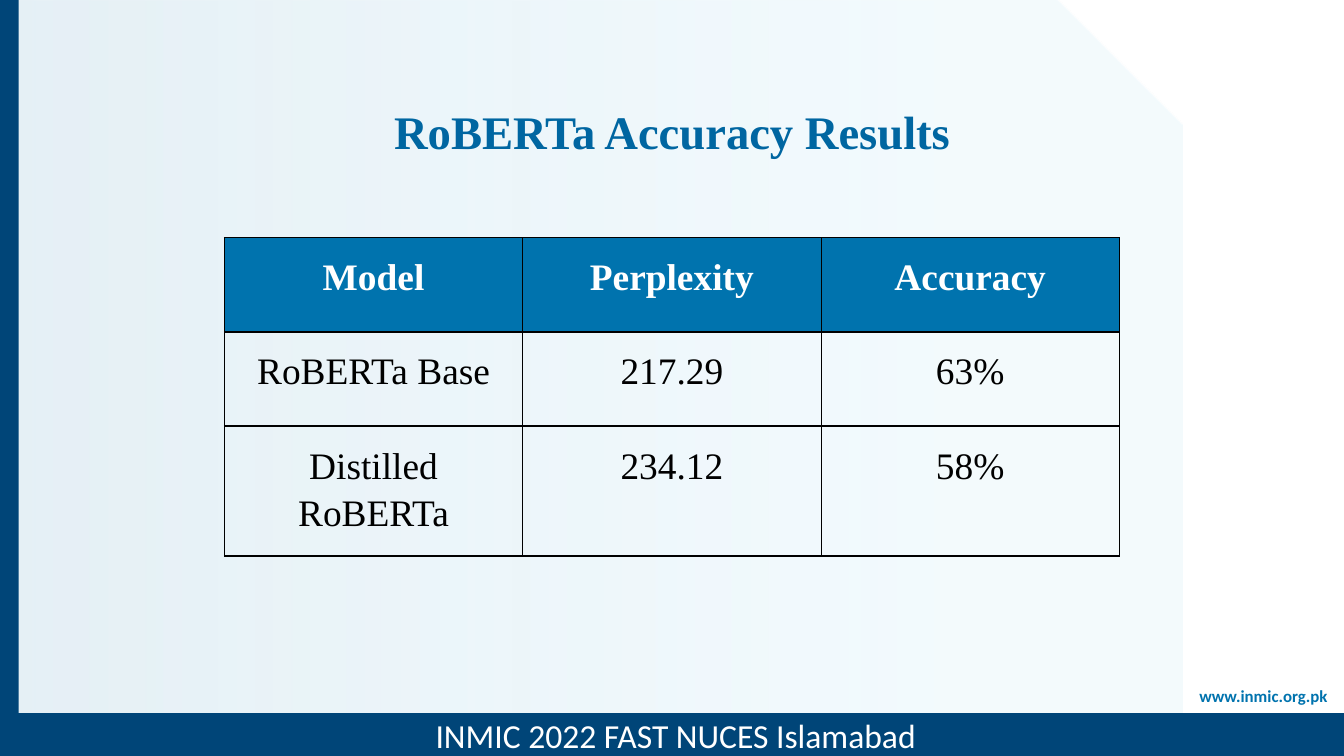
from lxml import etree
from pptx import Presentation
from pptx.dml.color import RGBColor
from pptx.enum import shapes, text
from pptx.oxml import ns
from pptx.util import Inches, Pt

NAVY = RGBColor(0x00, 0x45, 0x78)
BLUE = RGBColor(0x00, 0x73, 0xAE)
TITLE = RGBColor(0x00, 0x66, 0xA1)
MIST = RGBColor(0xCB, 0xE0, 0xEB)
SKY = RGBColor(0xD8, 0xF0, 0xFA)
WHITE = RGBColor(0xFF, 0xFF, 0xFF)
BLACK = RGBColor(0x00, 0x00, 0x00)
SERIF, SANS = "Times New Roman", "Calibri"
WIDE = 10
HIGH = WIDE * 9 / 16


def write(frame, words, size, font, color, bold=False, gap=1.0):
    """Put one centred run in the frame; gap is the line spacing."""
    frame.word_wrap = True
    para = frame.paragraphs[0]
    para.alignment = text.PP_ALIGN.CENTER
    para.line_spacing = gap
    run = para.add_run()
    run.text = words
    run.font.size = Pt(size)
    run.font.name = font
    run.font.bold = bold
    run.font.color.rgb = color


def add(kind, left, top, width, height):
    shape = slide.shapes.add_shape(
        kind, Inches(left), Inches(top), Inches(width), Inches(height))
    shape.shadow.inherit = False
    shape.line.fill.background()
    return shape


deck = Presentation()
deck.slide_width, deck.slide_height = Inches(WIDE), Inches(HIGH)
slide = deck.slides.add_slide(deck.slide_layouts[6])

# Backdrop with a translucent gradient
panel = add(shapes.MSO_SHAPE.SNIP_1_RECTANGLE, 0, 0, 8.8, HIGH)
panel.adjustments[0] = 0.167
panel.fill.gradient()
panel.fill.gradient_angle = 0
stops = panel.fill.gradient_stops
for stop, spot, color in zip(stops, (0, 0.79), (MIST, SKY)):
    stop.position = spot
    stop.color.rgb = color
tints = panel._element.spPr.iter(ns.qn("a:srgbClr"))
for tint, alpha in zip(tints, (50, 30)):
    etree.SubElement(tint, ns.qn("a:alpha"), val=str(alpha * 1000))

# Web address, side bar and footer
site = slide.shapes.add_textbox(Inches(8.75), Inches(5.07), Inches(1.3), Inches(0.37))
write(site.text_frame, "www.inmic.org.pk", 9, SANS, BLUE, True, 0.9)

side = add(shapes.MSO_SHAPE.RECTANGLE, 0, 0, 0.14, HIGH)
foot = add(shapes.MSO_SHAPE.RECTANGLE, 0, 5.31, 10.06, 0.32)
for bar in (side, foot):
    bar.fill.solid()
    bar.fill.fore_color.rgb = NAVY
foot.line.color.rgb = NAVY
foot.line.width = Pt(1)
foot.text_frame.vertical_anchor = text.MSO_ANCHOR.MIDDLE
write(foot.text_frame, "INMIC 2022 FAST NUCES Islamabad", 18, SANS, WHITE)

# Title
title = slide.shapes.add_textbox(Inches(1.37), Inches(0.76), Inches(7.26), Inches(0.48))
title.text_frame.vertical_anchor = text.MSO_ANCHOR.BOTTOM
write(title.text_frame, "RoBERTa Accuracy Results", 25, SERIF, TITLE, True, 0.9)

# Results table
rows = [
    ("Model", "Perplexity", "Accuracy"),
    ("RoBERTa Base", "217.29", "63%"),
    ("Distilled RoBERTa", "234.12", "58%"),
]
grid = slide.shapes.add_table(
    3, 3, Inches(1.67), Inches(1.77), Inches(6.66), Inches(2.1))
table = grid.table
table.first_row = table.horz_banding = False
for col in table.columns:
    col.width = Inches(2.22)
for r, row in enumerate(rows):
    table.rows[r].height = Inches(0.7)
    head = r == 0
    for c, words in enumerate(row):
        cell = table.cell(r, c)
        cell.margin_left = cell.margin_right = Inches(0.1)
        cell.margin_top = cell.margin_bottom = Inches(0.1)
        props = cell._tc.get_or_add_tcPr()
        for edge in ("lnL", "lnR", "lnT", "lnB"):
            line = etree.SubElement(props, ns.qn("a:" + edge), w=str(Pt(0.75)))
            ink = etree.SubElement(line, ns.qn("a:solidFill"))
            etree.SubElement(ink, ns.qn("a:srgbClr"), val=str(BLACK))
        if head:
            cell.fill.solid()
            cell.fill.fore_color.rgb = BLUE
        else:
            cell.fill.background()
        write(cell.text_frame, words, 20, SERIF, WHITE if head else BLACK, head, 1.15)
grid.width = grid.height = Inches(3.28)

deck.save("out.pptx")
